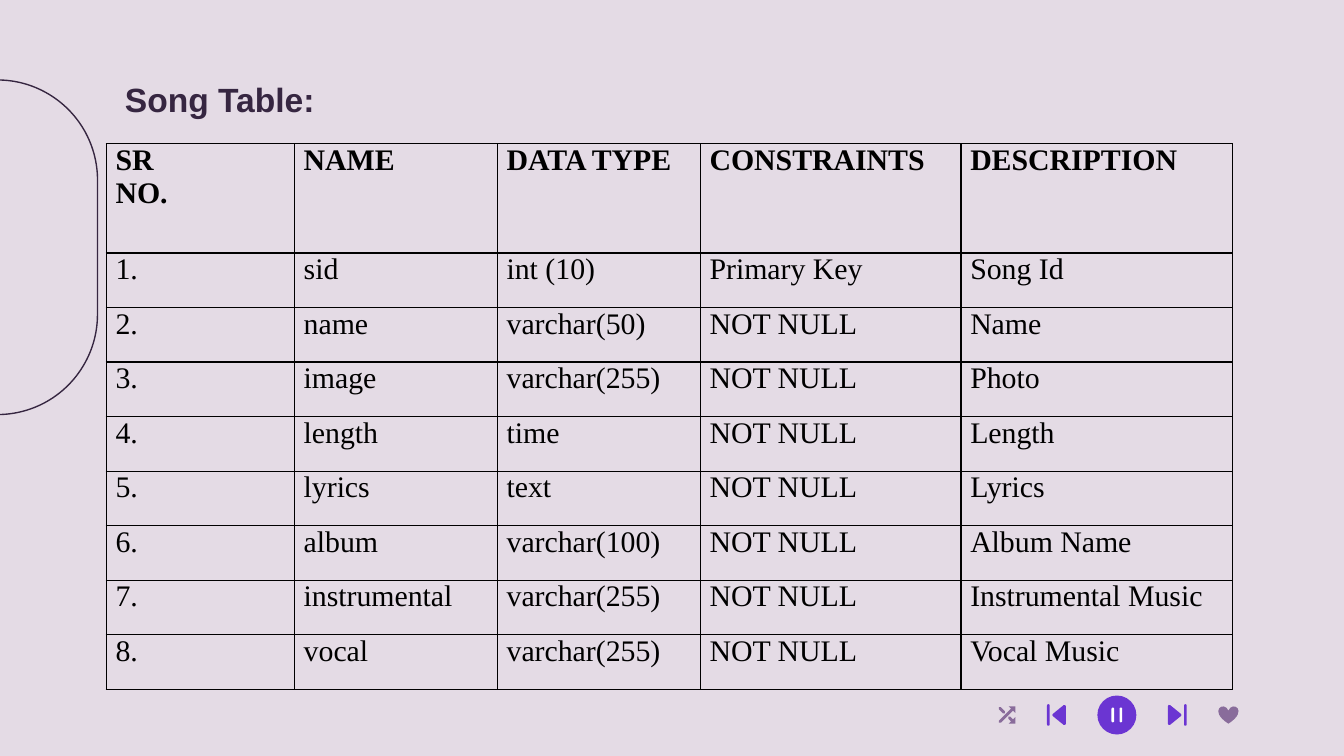
from lxml import etree
from pptx import Presentation
from pptx import util as u
from pptx.dml.color import RGBColor
from pptx.enum import shapes, text
from pptx.oxml.ns import qn

W = 10
H = W * 9 / 16
INK, VIOLET, MAUVE, BLACK, WHITE = "362641", "6B35D2", "896C9B", "000000", "FFFFFF"

TITLE = "Song Table:"
HEADER = ("SR\nNO.", "NAME", "DATA TYPE", "CONSTRAINTS", "DESCRIPTION")
FIELDS = [
    ("sid", "int (10)", "Primary Key", "Song Id"),
    ("name", "varchar(50)", "NOT NULL", "Name"),
    ("image", "varchar(255)", "NOT NULL", "Photo"),
    ("length", "time", "NOT NULL", "Length"),
    ("lyrics", "text", "NOT NULL", "Lyrics"),
    ("album", "varchar(100)", "NOT NULL", "Album Name"),
    ("instrumental", "varchar(255)", "NOT NULL", "Instrumental Music"),
    ("vocal", "varchar(255)", "NOT NULL", "Vocal Music"),
]
COL_WIDTHS = (1.4, 1.51, 1.51, 1.94, 2.02)
TABLE_X, TABLE_Y, TABLE_H = 0.79, 1.07, 4.06
ROW_H = TABLE_H / (len(FIELDS) + 2)  # the header is two rows high

ICON_Y = 5.32  # shared centre line of the player controls
SHUFFLE_X, BACK_X, PAUSE_X, NEXT_X, HEART_X = 7.49, 7.86, 8.31, 8.76, 9.14

MSO = shapes.MSO_SHAPE


def rgb(value):
    return RGBColor.from_string(value)


def add_centred(s, kind, cx, cy, w, h, fill=None, line=None, width=0.75, rot=0):
    sp = s.shapes.add_shape(kind, u.Inches(cx - w / 2), u.Inches(cy - h / 2),
                            u.Inches(w), u.Inches(h))
    sp.shadow.inherit = False
    sp.rotation = rot
    if fill:
        sp.fill.solid()
        sp.fill.fore_color.rgb = rgb(fill)
    else:
        sp.fill.background()
    if line:
        sp.line.color.rgb = rgb(line)
        sp.line.width = u.Pt(width)
    else:
        sp.line.fill.background()
    return sp


def add_bar(s, cx, h, fill):
    add_centred(s, MSO.ROUNDED_RECTANGLE, cx, ICON_Y, 0.02, h, fill).adjustments[0] = 0.5


def add_skip(s, cx, direction):
    """Triangle pointing left (-1) or right (1) against a bar."""
    sp = add_centred(s, MSO.ISOSCELES_TRIANGLE, cx - direction * 0.02, ICON_Y,
                     0.13, 0.08, VIOLET, VIOLET, 1.5, 90 * direction % 360)
    etree.SubElement(sp.line._get_or_add_ln(), qn("a:round"))
    add_bar(s, cx + direction * 0.06, 0.16, VIOLET)


def add_stroke(s, x1, y1, x2, y2):
    c = s.shapes.add_connector(shapes.MSO_CONNECTOR.STRAIGHT,
                               *(u.Inches(v) for v in (x1, y1, x2, y2)))
    c.line.color.rgb = rgb(MAUVE)
    c.line.width = u.Pt(1.5)
    c.line._get_or_add_ln().set("cap", "rnd")
    etree.SubElement(c._element.spPr, qn("a:effectLst"))


def add_shuffle(s, cx, cy):
    r = 0.05
    add_stroke(s, cx - r, cy + r, cx + r, cy - r)
    add_stroke(s, cx - r, cy - r, cx - 0.02, cy - 0.02)
    add_stroke(s, cx + 0.02, cy + 0.02, cx + r, cy + r)
    for side, rot in ((-1, 180), (1, 270)):
        add_centred(s, MSO.RIGHT_TRIANGLE, cx + 0.04, cy + side * 0.04,
                    r, r, MAUVE, rot=rot)


def border_cell(cell):
    tc_pr = cell._tc.get_or_add_tcPr()
    for side in ("lnL", "lnR", "lnT", "lnB"):
        ln = etree.SubElement(tc_pr, qn(f"a:{side}"), w=str(u.Pt(0.75)))
        fill = etree.SubElement(ln, qn("a:solidFill"))
        etree.SubElement(fill, qn("a:srgbClr"), val=BLACK)


def write(p, value, font, size, color, bold):
    r = p.add_run()
    r.text = value
    r.font.name, r.font.size, r.font.bold = font, u.Pt(size), bold
    r.font.color.rgb = rgb(color)


def fill_cell(cell, value, bold):
    border_cell(cell)
    cell.fill.background()
    cell.margin_left = cell.margin_right = u.Inches(0.07)
    cell.margin_top = cell.margin_bottom = 0
    tf = cell.text_frame
    for i, part in enumerate(value.split("\n")):
        p = tf.add_paragraph() if i else tf.paragraphs[0]
        write(p, part, "Times New Roman", 16, BLACK, bold)


def add_song_table(s):
    rows = [HEADER] + [(f"{n}.", *field) for n, field in enumerate(FIELDS, 1)]
    heights = [2 * ROW_H] + [ROW_H] * len(FIELDS)
    table = s.shapes.add_table(
        len(rows), len(HEADER), u.Inches(TABLE_X), u.Inches(TABLE_Y),
        u.Inches(sum(COL_WIDTHS)), u.Inches(TABLE_H)).table
    table.first_row = table.horz_banding = False
    for col, width in zip(table.columns, COL_WIDTHS):
        col.width = u.Inches(width)
    for i, (values, height) in enumerate(zip(rows, heights)):
        table.rows[i].height = u.Inches(height)
        for j, value in enumerate(values):
            fill_cell(table.cell(i, j), value, bold=i == 0)


def add_title(s):
    sp = s.shapes.title
    sp.left, sp.top, sp.width, sp.height = (u.Inches(v) for v in (0.83, 0.49, 8.43, 0.63))
    tf = sp.text_frame
    tf.word_wrap = True
    tf.vertical_anchor = text.MSO_ANCHOR.TOP
    tf.margin_left = tf.margin_right = tf.margin_top = tf.margin_bottom = u.Inches(0.1)
    p = tf.paragraphs[0]
    p.alignment = text.PP_ALIGN.LEFT
    write(p, TITLE, "Arial", 18, INK, True)


def add_player(s):
    add_shuffle(s, SHUFFLE_X, ICON_Y)
    add_skip(s, BACK_X, -1)
    add_centred(s, MSO.OVAL, PAUSE_X, ICON_Y, 0.29, 0.29, VIOLET)
    for dx in (-0.03, 0.03):
        add_bar(s, PAUSE_X + dx, 0.11, WHITE)
    add_skip(s, NEXT_X, 1)
    add_centred(s, MSO.HEART, HEART_X, ICON_Y, 0.15, 0.13, MAUVE)


def main():
    prs = Presentation()
    prs.slide_width, prs.slide_height = u.Inches(W), u.Inches(H)
    s = prs.slides.add_slide(prs.slide_layouts[5])
    s.background.fill.solid()
    s.background.fill.fore_color.rgb = rgb("E4DBE5")
    pill = add_centred(s, MSO.ROUNDED_RECTANGLE, -0.02, 1.84, 2.49, 1.49, line=INK, rot=90)
    pill.adjustments[0] = 0.5
    add_player(s)
    add_song_table(s)
    add_title(s)
    prs.save("out.pptx")


if __name__ == "__main__":
    main()
